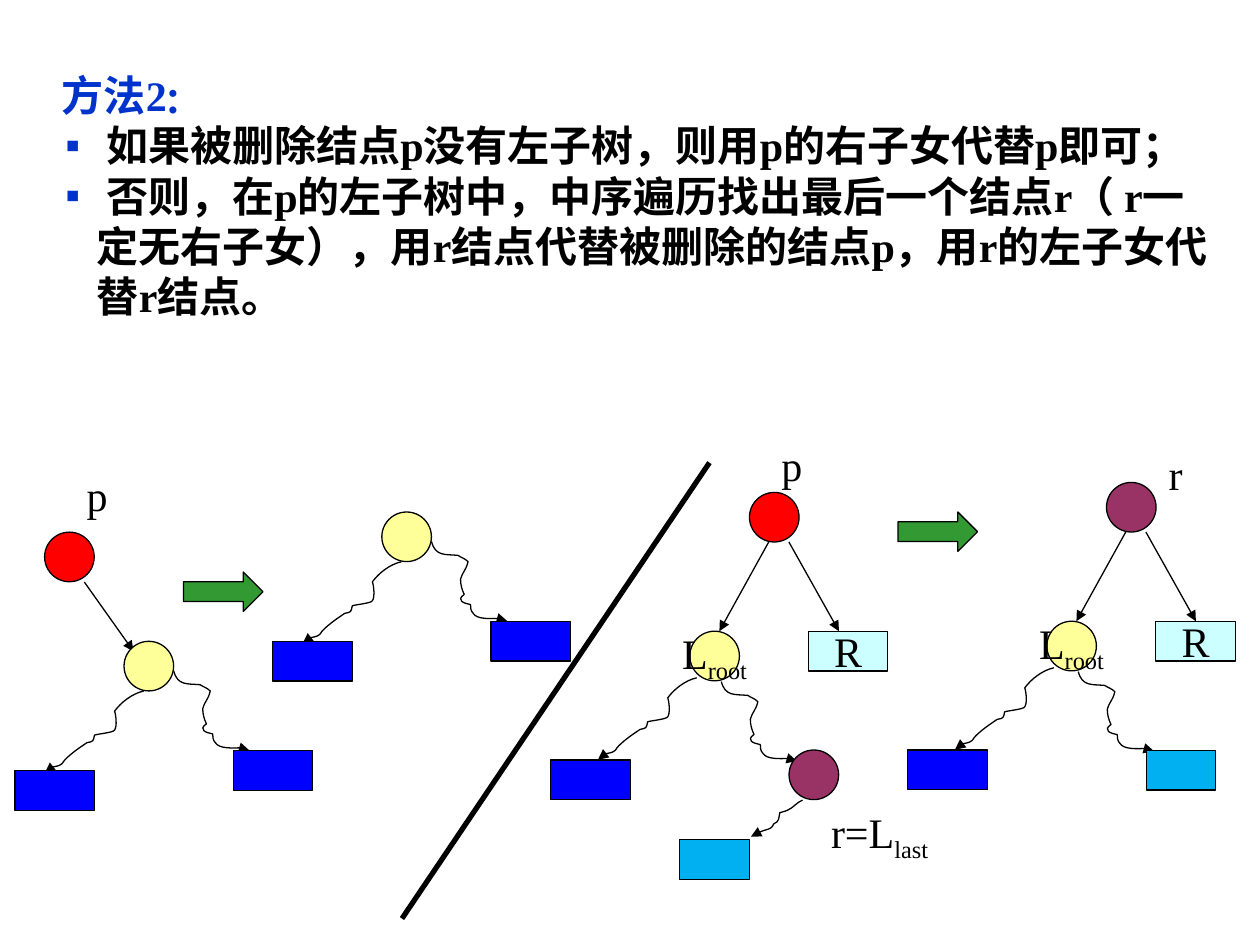
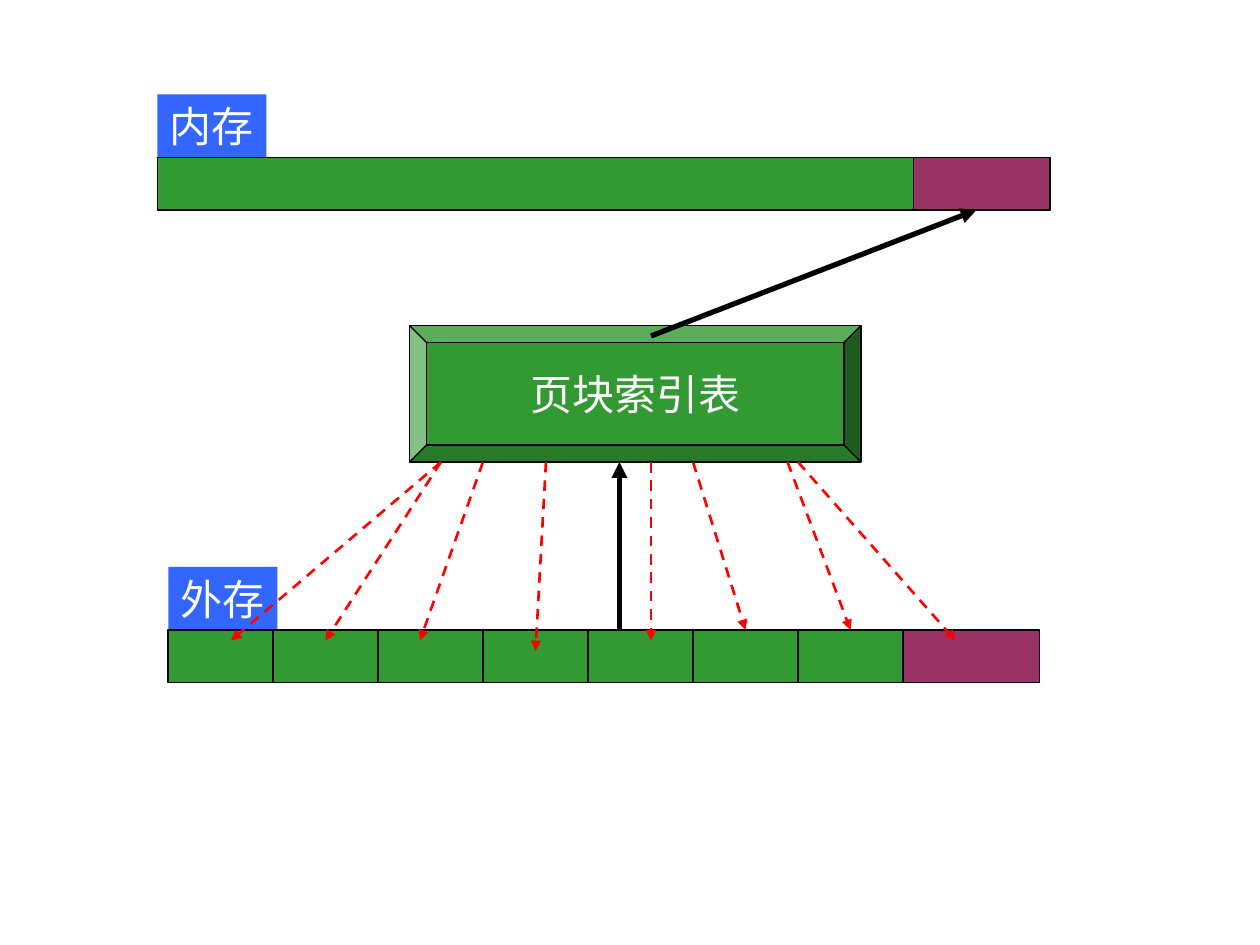
"""Build two slides: deleting a node from a search tree, and a page-block index."""
from dataclasses import dataclass
from typing import Optional

from lxml import etree
from pptx import Presentation
from pptx import util as u
from pptx.dml.color import RGBColor
from pptx.enum import dml, shapes, text
from pptx.oxml import ns

FONT = "Times New Roman"
COLORS = {
    "black": "000000", "white": "FFFFFF", "heading": "0033CC", "deleted": "FF0000",
    "root": "FFFF99", "replacement": "993366", "subtree": "0000FF", "moved": "00B0F0",
    "right": "CCFFFF", "green": "339933", "label": "3366FF",
}
RECT = shapes.MSO_SHAPE.RECTANGLE
OVAL = shapes.MSO_SHAPE.OVAL
ARROW = shapes.MSO_SHAPE.RIGHT_ARROW
BEVEL = shapes.MSO_SHAPE.BEVEL
NODE = 28.35
BOX_WIDTH, BOX_HEIGHT, MOVED_WIDTH = 45.4, 22.7, 39.7

LEFT_WAVE = [
    (-6.5, 1.4), (-13, 6.5), (-16.6, 11.5), (-15.8, 13.7), (-15.1, 20.2), (-16.6, 22.3),
    (-17.3, 23.8), (-26.6, 24.5), (-28.1, 25.2), (-28.8, 28.8), (-28.8, 28.8), (-32.4, 29.5),
    (-36.7, 32.4), (-41, 35.3), (-44.6, 38.9), (-46.8, 41), (-45.4, 41), (-48.2, 42.5),
    (-50.4, 43.2), (-51.8, 43.2), (-54, 43.9), (-55.4, 46.8), (-54.7, 45.4), (-56.5, 46.8),
]
RIGHT_WAVE = [
    (2.2, 8.6), (7.9, 7.2), (15.1, 7.9), (17.3, 9.4), (18.7, 9.4), (20.9, 11.5),
    (19.4, 17.3), (18, 16.6), (16.6, 21.6), (16.6, 24.5), (17.3, 27.4), (18.7, 30.2),
    (13.7, 33.8), (18.7, 35.3), (22.3, 36), (22.3, 37.4), (22.3, 39.6), (23.8, 41),
    (25.9, 44.6), (38.2, 43.9), (41, 43.9), (42.5, 45.4), (41.8, 45.4), (43.2, 45.4),
]
SHORT_WAVE = [
    (-3.6, 1.4), (-5, 4.3), (-8.6, 5.8), (-10.1, 6.5), (-13, 7.2), (-13, 7.2),
    (-13.7, 10.1), (-13, 12.2), (-16.6, 13.7), (-16.6, 14.4), (-17.3, 15.1), (-18, 15.8),
    (-18.7, 16.6), (-22.3, 17.3), (-23.8, 18), (-25.9, 18.7), (-28.1, 19.4), (-29.5, 20.9),
]


@dataclass(frozen=True)
class Block:
    """A filled preset shape with optional text."""
    x: float
    y: float
    width: float
    height: float
    fill: str
    preset: int = RECT
    caption: str = ""
    caption_color: str = "black"
    centered: bool = True
    outlined: bool = True


@dataclass(frozen=True)
class Line:
    """A straight line between two points."""
    x1: float
    y1: float
    x2: float
    y2: float
    color: str = "black"
    width: float = 0.75
    dashed: bool = False
    arrow: bool = True


@dataclass(frozen=True)
class Label:
    """A plain text box."""
    x: float
    y: float
    width: float
    height: float
    caption: str


@dataclass(frozen=True)
class SubtreeStyle:
    """Offsets of the branches from the root of a subtree."""
    left_wave: tuple
    left_box: tuple
    right_wave: tuple
    right_box: Optional[tuple] = None


WIDE = SubtreeStyle((11.2, 28.4), (-62.3, 73.8), (28.4, 16.9), (62.4, 62.4))
LOW = SubtreeStyle((4, 26.6), (-79.4, 73.6), (18, 28.8))


def rgb(name: str) -> RGBColor:
    """Return a named colour."""
    return RGBColor.from_string(COLORS[name])


def write_text(paragraph, caption: str, *, color: str = "black", bold: bool = False,
               align=text.PP_ALIGN.LEFT, size: float = 24) -> None:
    """Write a paragraph; what follows an underscore becomes a subscript."""
    paragraph.alignment = align
    base, _, subscript = caption.partition("_")
    for part in filter(None, (base, subscript)):
        run = paragraph.add_run()
        run.text = part
        run.font.name, run.font.size, run.font.bold = FONT, u.Pt(size), bold
        run.font.color.rgb = rgb(color)
        if part is subscript:
            run._r.get_or_add_rPr().set("baseline", "-25000")


def add_arrowhead(shape) -> None:
    """End the line of a shape in a triangle."""
    line = shape._element.spPr.find(ns.qn("a:ln"))
    etree.SubElement(line, ns.qn("a:tailEnd"), type="triangle")


def draw_block(slide, block: Block) -> None:
    """Draw a preset shape and its caption."""
    shape = slide.shapes.add_shape(
        block.preset, u.Pt(block.x), u.Pt(block.y), u.Pt(block.width), u.Pt(block.height))
    shape.shadow.inherit = False
    shape.fill.solid()
    shape.fill.fore_color.rgb = rgb(block.fill)
    if block.outlined:
        shape.line.color.rgb = rgb("black")
        shape.line.width = u.Pt(0.75)
    else:
        shape.line.fill.background()
    if block.caption:
        frame = shape.text_frame
        frame.word_wrap = False
        frame.vertical_anchor = text.MSO_ANCHOR.MIDDLE
        align = text.PP_ALIGN.CENTER if block.centered else text.PP_ALIGN.LEFT
        write_text(frame.paragraphs[0], block.caption, color=block.caption_color, align=align)


def draw_node(slide, x: float, y: float, fill: str, caption: str = "") -> None:
    """Draw a round tree node."""
    draw_block(slide, Block(x, y, NODE, NODE, fill, OVAL, caption))


def draw_box(slide, x: float, y: float, fill: str, caption: str = "") -> None:
    """Draw a box that stands for a whole subtree."""
    width = MOVED_WIDTH if fill == "moved" else BOX_WIDTH
    draw_block(slide, Block(x, y, width, BOX_HEIGHT, fill, RECT, caption))


def draw_line(slide, line: Line) -> None:
    """Draw a straight line or arrow."""
    connector = slide.shapes.add_connector(
        shapes.MSO_CONNECTOR.STRAIGHT,
        u.Pt(line.x1), u.Pt(line.y1), u.Pt(line.x2), u.Pt(line.y2))
    connector.line.color.rgb = rgb(line.color)
    connector.line.width = u.Pt(line.width)
    if line.dashed:
        connector.line.dash_style = dml.MSO_LINE.DASH
    if line.arrow:
        add_arrowhead(connector)
    etree.SubElement(connector._element.spPr, ns.qn("a:effectLst"))


def draw_wave(slide, x: float, y: float, offsets: list) -> None:
    """Draw a wavy arrow whose offsets are triples of Bezier points."""
    builder = slide.shapes.build_freeform(u.Pt(x), u.Pt(y))
    builder.add_line_segments([(u.Pt(x + dx), u.Pt(y + dy)) for dx, dy in offsets], close=False)
    shape = builder.convert_to_shape()
    segments = list(shape._element.iter(ns.qn("a:lnTo")))
    for index in range(0, len(segments), 3):
        curve = etree.Element(ns.qn("a:cubicBezTo"))
        segments[index].addprevious(curve)
        for segment in segments[index:index + 3]:
            curve.append(segment[0])
            segment.getparent().remove(segment)
    shape.shadow.inherit = False
    shape.fill.background()
    shape.line.color.rgb = rgb("black")
    shape.line.width = u.Pt(0.75)
    add_arrowhead(shape)


def draw_label(slide, label: Label) -> None:
    """Draw a text box."""
    box = slide.shapes.add_textbox(
        u.Pt(label.x), u.Pt(label.y), u.Pt(label.width), u.Pt(label.height))
    box.text_frame.word_wrap = True
    write_text(box.text_frame.paragraphs[0], label.caption)


def draw_subtree(slide, x: float, y: float, style: SubtreeStyle, caption: str = "") -> None:
    """Draw a root with its two wavy branches."""
    for (dx, dy), wave in ((style.left_wave, LEFT_WAVE), (style.right_wave, RIGHT_WAVE)):
        draw_wave(slide, x + dx, y + dy, wave)
    for offset in filter(None, (style.left_box, style.right_box)):
        draw_box(slide, x + offset[0], y + offset[1], "subtree")
    draw_node(slide, x, y, "root", caption)


def draw_family(slide, x: float, y: float, fill: str, right_offset: float) -> None:
    """Draw a parent node with its left subtree and right box."""
    draw_node(slide, x, y, fill)
    for start, end in ((22.5, 51.1), (11, -17.2)):
        draw_line(slide, Line(x + start, y + 28.3, x + end, y + 79.3))
    draw_subtree(slide, x - 34.1, y + 79.3, LOW, "L_root")
    draw_box(slide, x + right_offset, y + 79.3, "right", "R")


def set_indent(paragraph, margin: float, first: float = 0, bullet: str = "") -> None:
    """Set the indents of a paragraph and its bullet, if any."""
    paragraph.space_before = u.Pt(0)
    properties = paragraph._p.get_or_add_pPr()
    properties.set("marL", str(u.Pt(margin)))
    properties.set("indent", str(u.Pt(first)))
    properties.set("hangingPunct", "0")
    if bullet:
        color = etree.SubElement(properties, ns.qn("a:buClr"))
        etree.SubElement(color, ns.qn("a:srgbClr"), val=COLORS["heading"])
        etree.SubElement(properties, ns.qn("a:buChar"), char=bullet)
    else:
        etree.SubElement(properties, ns.qn("a:buNone"))


def write_method(slide) -> None:
    """Write the heading and rules in the body placeholder."""
    slide.shapes.title._element.getparent().remove(slide.shapes.title._element)
    body = slide.placeholders[1]
    body.left, body.top, body.width, body.height = u.Pt(12.2), u.Pt(36), u.Pt(687.6), u.Pt(180)
    frame = body.text_frame
    frame.auto_size = text.MSO_AUTO_SIZE.NONE
    heading = frame.paragraphs[0]
    set_indent(heading, 16)
    write_text(heading, "方法2∶", color="heading", bold=True)
    for rule in (
        " 如果被删除结点p没有左子树，则用p的右子女代替p即可；",
        " 否则，在p的左子树中，中序遍历找出最后一个结点r（ r一定无右子女），"
        "用r结点代替被删除的结点p，用r的左子女代替r结点。",
    ):
        paragraph = frame.add_paragraph()
        set_indent(paragraph, 36, -18, "▪")
        write_text(paragraph, rule, bold=True)


def build_deletion(slide) -> None:
    """Draw both cases of deleting a node."""
    write_method(slide)
    draw_node(slide, 25.5, 304.1, "deleted")
    draw_line(slide, Line(48.2, 332.6, 76.3, 372.2))
    draw_subtree(slide, 70.9, 366.5, WIDE)
    draw_subtree(slide, 218.2, 292.6, WIDE)
    draw_family(slide, 428.3, 281.4, "deleted", 33.7)
    draw_node(slide, 450.9, 428.6, "replacement")
    draw_wave(slide, 458.6, 457.2, SHORT_WAVE)
    draw_box(slide, 388.5, 479.7, "moved")
    draw_family(slide, 632.3, 275.7, "replacement", 28.2)
    draw_box(slide, 655, 428.8, "moved")
    for x, y in ((104.9, 326.9), (513.2, 292.6)):
        draw_block(slide, Block(x, y, 45.4, 22.5, "green", ARROW))
    draw_line(slide, Line(405.4, 264.4, 229.7, 524.9, width=3, arrow=False))
    for label in (Label(660.7, 253, 22.3, 36, "r"), Label(467.8, 457.2, 79.2, 40, "r=L_last"),
                  Label(439.4, 247.7, 28, 36, "p"), Label(42.5, 264.5, 28, 36, "p")):
        draw_label(slide, label)


def build_index(slide) -> None:
    """Draw memory, the page-block index and external storage."""
    for x, y, caption in ((90, 54, "内存"), (96.2, 324, "外存")):
        draw_block(slide, Block(x, y, 62.3, 36, "label", RECT, caption, "white", False, False))
    draw_block(slide, Block(90, 90, 432, 30, "green"))
    draw_block(slide, Block(522, 90, 78, 30, "replacement"))
    draw_block(slide, Block(234, 186, 258, 78, "green", BEVEL, "页块索引表", "white"))
    draw_line(slide, Line(372, 192, 558, 120, width=3))
    draw_line(slide, Line(354, 360, 354, 264, width=3))
    for page in range(7):
        draw_block(slide, Block(96 + 60 * page, 360, 60, 30, "green"))
    draw_block(slide, Block(516, 360, 78, 30, "replacement"))
    for start, end, bottom in (
        (252, 132, 366), (252, 186, 366), (276, 240, 366), (312, 306, 372),
        (372, 372, 366), (396, 426, 360), (450, 486, 360), (456, 546, 366),
    ):
        draw_line(slide, Line(start, 264, end, bottom, "deleted", 1.5, dashed=True))


def main() -> None:
    """Build and save the presentation."""
    presentation = Presentation()
    presentation.slide_width, presentation.slide_height = u.Pt(720), u.Pt(540)
    for layout, build in ((1, build_deletion), (6, build_index)):
        build(presentation.slides.add_slide(presentation.slide_layouts[layout]))
    presentation.save("out.pptx")


if __name__ == "__main__":
    main()
